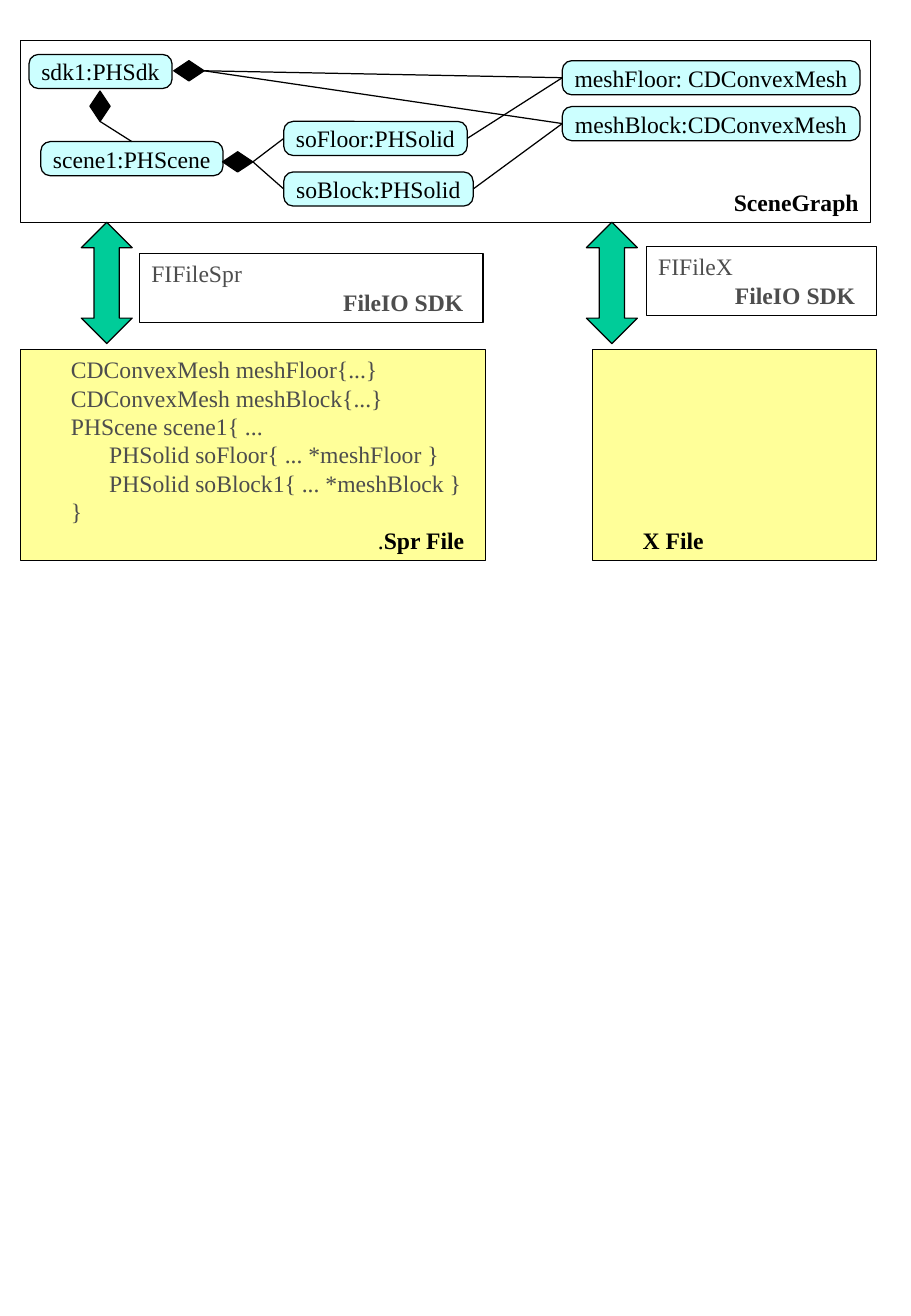
from lxml import etree
from pptx import Presentation
from pptx import util as u
from pptx.dml.color import RGBColor
from pptx.enum import shapes, text
from pptx.oxml.ns import qn

COLORS = {"ink": "000000", "code": "4D4D4D", "node": "CCFFFF",
          "file": "FFFF99", "arrow": "00CC99", "paper": "FFFFFF"}
KIND = shapes.MSO_SHAPE
ANCHOR = text.MSO_ANCHOR
ALIGN = text.PP_ALIGN
TOP, LEFT, BOTTOM, RIGHT = range(4)
TAB = 22.75


def rgb(name):
    """Return the named colour."""
    return RGBColor.from_string(COLORS[name])


def add_shape(s, kind, box, fill=None, adj=()):
    """Add an outlined shape without shadow."""
    sp = s.shapes.add_shape(kind, *[u.Pt(v) for v in box])
    sp.shadow.inherit = False
    if fill:
        sp.fill.solid()
        sp.fill.fore_color.rgb = rgb(fill)
    else:
        sp.fill.background()
    sp.line.color.rgb = rgb("ink")
    sp.line.width = u.Pt(0.75)
    for i, value in enumerate(adj):
        sp.adjustments[i] = value
    return sp


def write(sp, lines, anchor=ANCHOR.TOP, align=ALIGN.LEFT, wrap=True, inset=(7.2, 3.6)):
    """Write lines given as (indent level, runs), each run as (words, colour, bold)."""
    tf = sp.text_frame
    tf.word_wrap = wrap
    tf.vertical_anchor = anchor
    tf.margin_left = tf.margin_right = u.Pt(inset[0])
    tf.margin_top = tf.margin_bottom = u.Pt(inset[1])
    for i, (level, runs) in enumerate(lines):
        p = tf.add_paragraph() if i else tf.paragraphs[0]
        p.alignment = align
        p.line_spacing = u.Pt(16.8)
        p._p.get_or_add_pPr().set("marL", str(u.Pt(level * TAB)))
        for words, color, bold in runs:
            r = p.add_run()
            r.text = words
            r.font.name = "Times New Roman"
            r.font.size = u.Pt(14)
            r.font.bold = bold
            r.font.color.rgb = rgb(color)


def add_link(s, start, start_side, end, end_side):
    """Join two shapes with a straight line."""
    c = s.shapes.add_connector(shapes.MSO_CONNECTOR.STRAIGHT, 0, 0, 0, 0)
    c.begin_connect(start, start_side)
    c.end_connect(end, end_side)
    c.line.color.rgb = rgb("ink")
    c.line.width = u.Pt(0.75)
    etree.SubElement(c._element.spPr, qn("a:effectLst"))


def scene_graph(s, box):
    """Draw the framed object graph."""
    x, y = box[:2]
    frame = add_shape(s, KIND.RECTANGLE, box)
    write(frame, [(0, [("SceneGraph", "ink", True)])], ANCHOR.BOTTOM, ALIGN.RIGHT, False)

    def node(name, dx, dy, w):
        sp = add_shape(s, KIND.ROUNDED_RECTANGLE, (x + dx, y + dy, w, 20.2), "node", [0.277])
        write(sp, [(0, [(name, "ink", False)])], ANCHOR.MIDDLE, ALIGN.CENTER, False, (5.8, 0))
        return sp

    def diamond(dx, dy, w, h):
        return add_shape(s, KIND.DIAMOND, (x + dx, y + dy, w, h), "ink")

    scene = node("scene1:PHScene", 12, 60, 108)
    node("sdk1:PHSdk", 5, 8.3, 84.8)
    mesh_floor = node("meshFloor: CDConvexMesh", 321.1, 12, 176.4)
    mesh_block = node("meshBlock:CDConvexMesh", 321.1, 39.2, 176.4)
    so_floor = node("soFloor:PHSolid", 156, 48, 108.8)
    so_block = node("soBlock:PHSolid", 156, 78, 112.3)
    scene_owns = diamond(119.7, 66, 18, 12)
    sdk_owns = diamond(90.8, 12, 18, 12)
    sdk_scene = diamond(41.1, 30, 12, 18)

    add_link(s, sdk_scene, BOTTOM, scene, TOP)
    for solid, mesh in ((so_floor, mesh_floor), (so_block, mesh_block)):
        add_link(s, sdk_owns, RIGHT, mesh, LEFT)
        add_link(s, scene_owns, RIGHT, solid, LEFT)
        add_link(s, solid, RIGHT, mesh, LEFT)


def file_column(s, box, arrow_dx, handler_box, handler, lines, anchor=ANCHOR.TOP):
    """Draw a two-way arrow, its file handler and the file below."""
    x, y, w, h = box
    add_shape(s, KIND.UP_DOWN_ARROW, (x + arrow_dx, y, 30.2, 72), "arrow", [0.35, 0.496])
    dx, dy, handler_w, level = handler_box
    sp = add_shape(s, KIND.RECTANGLE, (x + dx, y + dy, handler_w, 41.2), "paper")
    write(sp, [(0, [(handler, "code", False)]), (level, [("FileIO SDK", "code", True)])])
    file_top = 75.4
    sp = add_shape(s, KIND.RECTANGLE, (x, y + file_top, w, h - file_top), "file")
    write(sp, lines, anchor)


def main():
    """Build the slide and save it."""
    prs = Presentation()
    prs.slide_width, prs.slide_height = u.Pt(540), u.Pt(780.48)
    s = prs.slides.add_slide(prs.slide_layouts[6])
    scene_graph(s, (12.2, 24, 504, 108))
    code = [(1, "CDConvexMesh meshFloor{...}"),
            (1, "CDConvexMesh meshBlock{...}"),
            (1, "PHScene scene1{ ..."),
            (2, "PHSolid soFloor{ ... *meshFloor }"),
            (2, "PHSolid soBlock1{ ... *meshBlock }"),
            (1, "}")]
    lines = [(level, [(words, "code", False)]) for level, words in code]
    lines.append((9, [(".", "ink", False), ("Spr File", "ink", True)]))
    file_column(s, (12.2, 131.8, 275.8, 200.6), 36, (70.4, 18.4, 203.8, 5), "FIFileSpr", lines)
    file_column(s, (351.1, 131.8, 168.5, 200.6), -3.5, (32, 14.2, 136.4, 2), "FIFileX",
                [(1, [("X File", "ink", True)])], ANCHOR.BOTTOM)
    prs.save("out.pptx")


if __name__ == "__main__":
    main()
